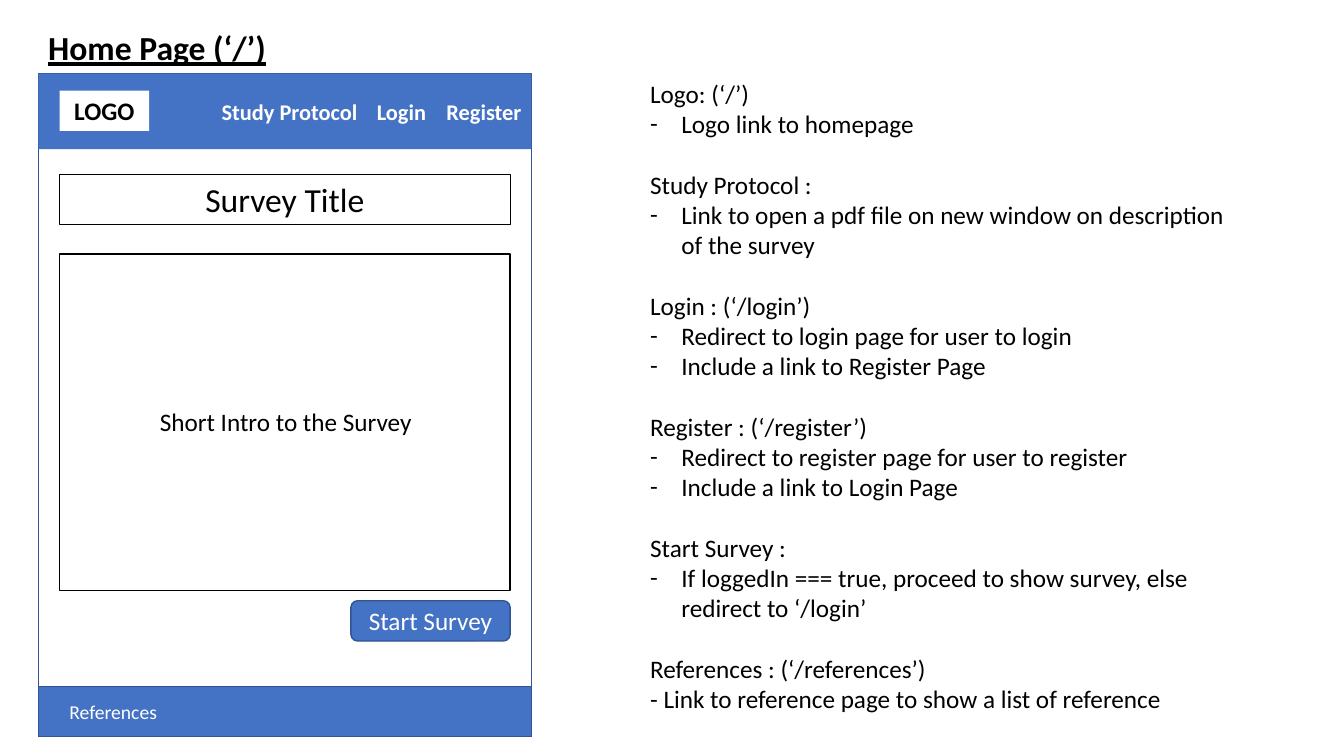
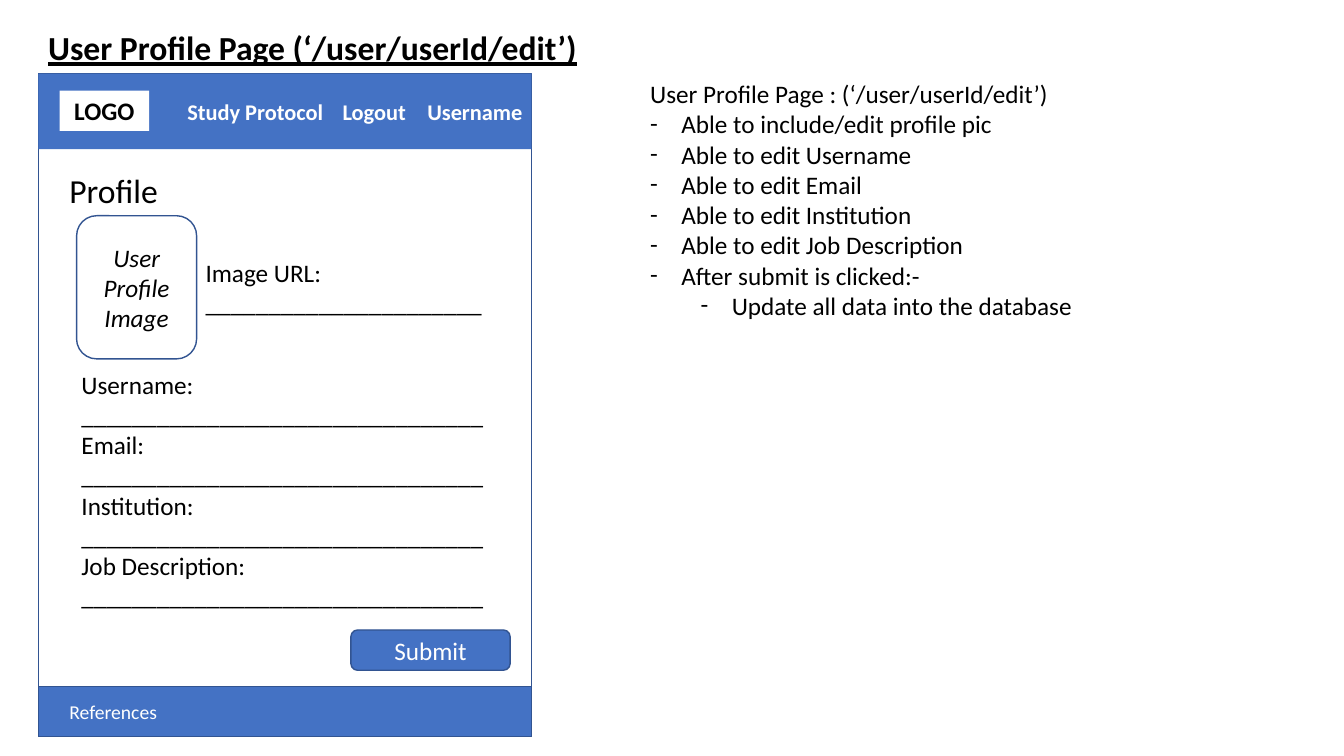
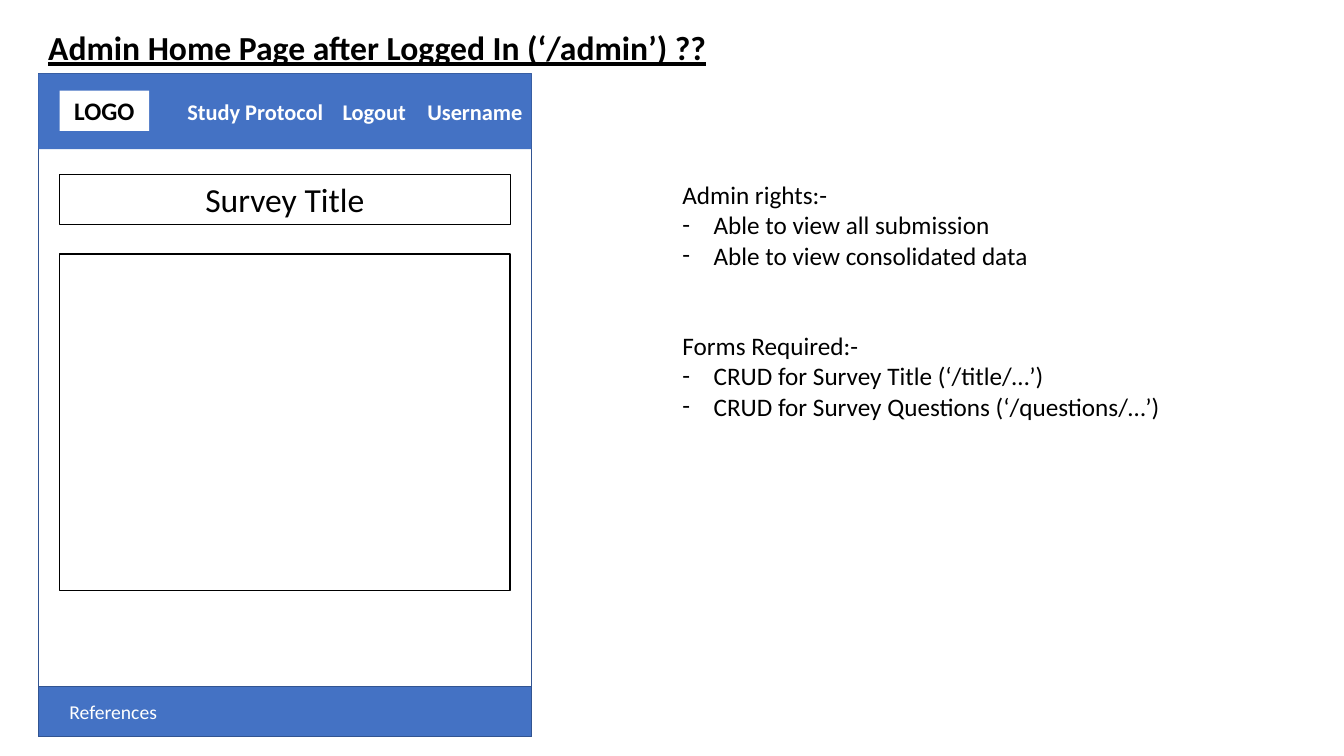
from lxml.etree import SubElement
from pptx import Presentation
from pptx.dml.color import RGBColor
from pptx.enum.shapes import MSO_SHAPE
from pptx.enum.text import MSO_ANCHOR, PP_ALIGN
from pptx.oxml.ns import qn
from pptx.util import Inches, Pt

COLORS = {"blue": "4472C4", "edge": "325491", "white": "FFFFFF", "black": "000000"}
FONT = "Calibri"
LINE_HEIGHT = 21.6  # points, one line of 18 point text

# Page mock-up grid, in inches
PAGE_LEFT, PAGE_TOP, PAGE_WIDTH, PAGE_HEIGHT = 0.38, 0.73, 4.89, 6.58
MARGIN = 0.21
INNER_LEFT = PAGE_LEFT + MARGIN
INNER_WIDTH = PAGE_WIDTH - 2 * MARGIN
HEADER_HEIGHT, FOOTER_HEIGHT = 0.75, 0.5
FOOTER_TOP = PAGE_TOP + PAGE_HEIGHT - FOOTER_HEIGHT
BUTTON_WIDTH, BUTTON_HEIGHT = 1.58, 0.4

# Kinds of note line
HEAD, PLAIN, BULLET, SUB = "head", "plain", "bullet", "sub"
BULLET_INDENTS = {BULLET: 0.31, SUB: 0.81}
HANGING = 0.31

# Menus: label and tab position
GUEST_MENU = [("Study Protocol", 1.72), ("Login", 3.26), ("Register", 3.95)]
USER_MENU = [("Study Protocol", 1.38), ("Logout", 2.92), ("Username", 3.76)]

PROFILE_FIELDS = ["Username:", "Email:", "Institution:", "Job Description:"]

HOME_NOTES = [
    (HEAD, "Logo: (‘/’)"),
    (BULLET, "Logo link to homepage"),
    (HEAD, "Study Protocol :"),
    (BULLET, "Link to open a pdf file on new window on description of the survey"),
    (HEAD, "Login : (‘/login’)"),
    (BULLET, "Redirect to login page for user to login"),
    (BULLET, "Include a link to Register Page"),
    (HEAD, "Register : (‘/register’)"),
    (BULLET, "Redirect to register page for user to register"),
    (BULLET, "Include a link to Login Page"),
    (HEAD, "Start Survey :"),
    (BULLET, "If loggedIn === true, proceed to show survey, else redirect to ‘/login’"),
    (HEAD, "References : (‘/references’)"),
    (PLAIN, "- Link to reference page to show a list of reference"),
]
PROFILE_NOTES = [
    (HEAD, "User Profile Page : (‘/user/userId/edit’)"),
    (BULLET, "Able to include/edit profile pic"),
    (BULLET, "Able to edit Username"),
    (BULLET, "Able to edit Email"),
    (BULLET, "Able to edit Institution"),
    (BULLET, "Able to edit Job Description"),
    (BULLET, "After submit is clicked:-"),
    (SUB, "Update all data into the database"),
]
ADMIN_NOTES = [
    (HEAD, "Admin rights:-"),
    (BULLET, "Able to view all submission"),
    (BULLET, "Able to view consolidated data"),
    (HEAD, "Forms Required:-"),
    (BULLET, "CRUD for Survey Title (‘/title/…’)"),
    (BULLET, "CRUD for Survey Questions (‘/questions/…’)"),
]


def rgb(name):
    return RGBColor.from_string(COLORS[name])


def write(shape, lines, size=18, color="black", bold=False, italic=False,
          underline=False, align=PP_ALIGN.LEFT, anchor=MSO_ANCHOR.TOP):
    """Fill a shape with one paragraph a line; return the paragraphs."""
    frame = shape.text_frame
    frame.word_wrap = True
    frame.vertical_anchor = anchor
    lines = [lines] if isinstance(lines, str) else lines
    paragraphs = []
    for index, line in enumerate(lines):
        paragraph = frame.add_paragraph() if index else frame.paragraphs[0]
        paragraph.alignment = align
        run = paragraph.add_run()
        run.text = line
        font = run.font
        font.name, font.size = FONT, Pt(size)
        font.bold, font.italic, font.underline = bold, italic, underline
        font.color.rgb = rgb(color)
        paragraphs.append(paragraph)
    return paragraphs


def add_box(slide, left, top, width, height, fill=None, line=None, weight=1,
            kind=MSO_SHAPE.RECTANGLE):
    shape = slide.shapes.add_shape(
        kind, Inches(left), Inches(top), Inches(width), Inches(height))
    shape.shadow.inherit = False
    if fill:
        shape.fill.solid()
        shape.fill.fore_color.rgb = rgb(fill)
    else:
        shape.fill.background()
    if line:
        shape.line.color.rgb = rgb(line)
        shape.line.width = Pt(weight)
    else:
        shape.line.fill.background()
    return shape


def add_text(slide, left, top, width, height, lines, **style):
    box = slide.shapes.add_textbox(
        Inches(left), Inches(top), Inches(width), Inches(height))
    return write(box, lines, **style)


def add_menu(bar, menu):
    bar.text_frame.margin_right = 0
    text = "".join("\t" + label for label, _ in menu)
    paragraph = write(bar, text, size=16, color="white", bold=True,
                      anchor=MSO_ANCHOR.MIDDLE)[0]
    tabs = SubElement(paragraph._p.get_or_add_pPr(), qn("a:tabLst"))
    for _, position in menu:
        SubElement(tabs, qn("a:tab"), pos=str(Inches(position)), algn="l")


def add_page(presentation, title, title_width, menu):
    """Start a slide with its title and the frame of the page mock-up."""
    slide = presentation.slides.add_slide(presentation.slide_layouts[6])
    add_box(slide, PAGE_LEFT, PAGE_TOP, PAGE_WIDTH, PAGE_HEIGHT, line="edge")
    add_text(slide, PAGE_LEFT, 0.22, title_width, 0.5, title,
             size=24, bold=True, underline=True)
    header = add_box(slide, PAGE_LEFT, PAGE_TOP, PAGE_WIDTH, HEADER_HEIGHT, fill="blue")
    add_menu(header, menu)
    logo = add_box(slide, INNER_LEFT, 0.9, 0.89, 0.4, fill="white")
    write(logo, "LOGO", bold=True, align=PP_ALIGN.CENTER)
    add_box(slide, PAGE_LEFT, FOOTER_TOP, PAGE_WIDTH, FOOTER_HEIGHT,
            fill="blue", line="edge")
    add_text(slide, INNER_LEFT, FOOTER_TOP + 0.08, 1.2, 0.34, "References",
             size=14, color="white")
    return slide


def add_survey(slide):
    title = add_box(slide, INNER_LEFT, 1.73, INNER_WIDTH, 0.5, line="black", weight=0.75)
    write(title, "Survey Title", size=24, align=PP_ALIGN.CENTER)
    add_box(slide, INNER_LEFT, 2.52, INNER_WIDTH, 3.34, fill="white", line="black")


def add_button(slide, label, top):
    button = add_box(slide, INNER_LEFT + INNER_WIDTH - BUTTON_WIDTH, top,
                     BUTTON_WIDTH, BUTTON_HEIGHT, fill="blue", line="edge",
                     kind=MSO_SHAPE.ROUNDED_RECTANGLE)
    write(button, label, color="white", align=PP_ALIGN.CENTER, anchor=MSO_ANCHOR.MIDDLE)


def add_notes(slide, notes, left=6.35, top=0.73, height=2.52, gap_lines=1):
    paragraphs = add_text(slide, left, top, 6.04, height, [text for _, text in notes])
    for index, (paragraph, (kind, _)) in enumerate(zip(paragraphs, notes)):
        if kind == HEAD and index:
            paragraph.space_before = Pt(gap_lines * LINE_HEIGHT)
        if kind in BULLET_INDENTS:
            paragraph.level = int(kind == SUB)
            properties = paragraph._p.get_or_add_pPr()
            properties.set("marL", str(Inches(BULLET_INDENTS[kind])))
            properties.set("indent", str(-Inches(HANGING)))
            SubElement(properties, qn("a:buFont"), typeface=FONT)
            SubElement(properties, qn("a:buChar"), char="-")


def with_blanks(labels, length):
    """Follow each form label with a line to fill in."""
    return [line for label in labels for line in (label, "_" * length)]


def build_home(presentation):
    slide = add_page(presentation, "Home Page (‘/’)", 2.87, GUEST_MENU)
    add_survey(slide)
    add_text(slide, 0.98, 3.98, 3.71, 0.4, "Short Intro to the Survey",
             align=PP_ALIGN.CENTER, anchor=MSO_ANCHOR.MIDDLE)
    add_button(slide, "Start Survey", 5.96)
    add_notes(slide, HOME_NOTES, height=6.46)


def build_profile(presentation):
    slide = add_page(presentation, "User Profile Page (‘/user/userId/edit’)", 8.37, USER_MENU)
    add_text(slide, INNER_LEFT, 1.64, INNER_WIDTH, 0.5, "Profile", size=24)
    add_text(slide, 0.71, 3.6, 4.24, 2.52, with_blanks(PROFILE_FIELDS, 32),
             anchor=MSO_ANCHOR.MIDDLE)
    add_button(slide, "Submit", 6.25)
    add_notes(slide, PROFILE_NOTES)
    portrait = add_box(slide, 0.76, 2.14, 1.19, 1.42, line="edge",
                       kind=MSO_SHAPE.ROUNDED_RECTANGLE)
    write(portrait, "User Profile Image", italic=True,
          align=PP_ALIGN.CENTER, anchor=MSO_ANCHOR.MIDDLE)
    add_text(slide, 1.94, 2.5, 3.01, 0.71, with_blanks(["Image URL:"], 22))


def build_admin(presentation):
    slide = add_page(presentation, "Admin Home Page after Logged In (‘/admin’) ??",
                     8.18, USER_MENU)
    add_survey(slide)
    add_notes(slide, ADMIN_NOTES, left=6.67, top=1.73, gap_lines=2)


def main():
    presentation = Presentation()
    presentation.slide_width = Inches(13.33)
    presentation.slide_height = Inches(7.5)
    for build in (build_home, build_profile, build_admin):
        build(presentation)
    presentation.save("out.pptx")


if __name__ == "__main__":
    main()
